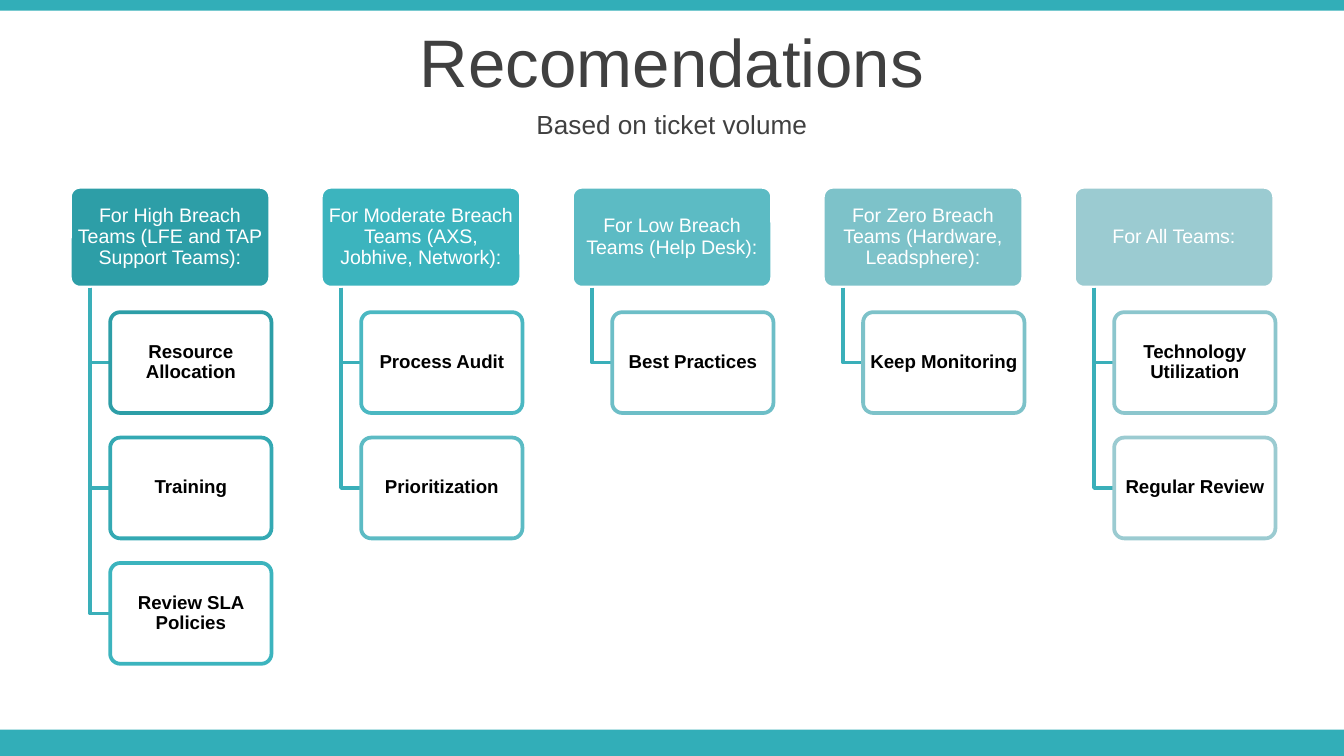
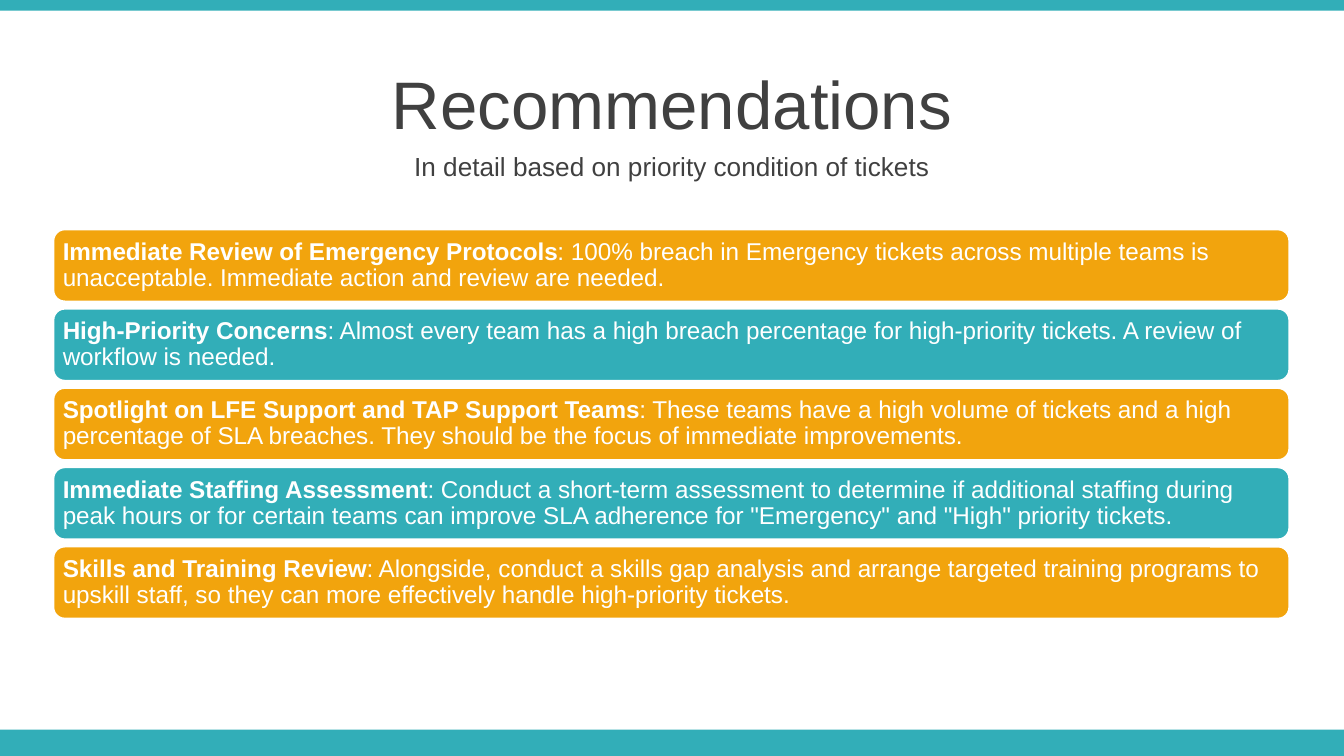
from dataclasses import dataclass

from lxml import etree
from pptx import Presentation
from pptx import util as u
from pptx.dml.color import RGBColor
from pptx.enum import shapes, text
from pptx.oxml import ns


@dataclass(frozen=True)
class Theme:
    font: str = "Arial"
    teal: str = "32AEB8"
    orange: str = "F2A40D"
    link: str = "3AAFB9"
    ink: str = "404040"
    black: str = "000000"
    white: str = "FFFFFF"
    title_size: float = 36
    subtitle_size: float = 14
    group_size: float = 10.5
    action_size: float = 10
    detail_size: float = 13
    line_width: float = 2


@dataclass(frozen=True)
class Box:
    left: float
    top: float
    width: float
    height: float

    def inches(self):
        return [u.Inches(v) for v in (self.left, self.top, self.width, self.height)]


THEME = Theme()
PAGE = Box(0, 0, 10, 5.625)

# Each group: heading, colour, then its actions with their border colours
GROUPS = [
    ("For High Breach Teams (LFE and TAP Support Teams):", "2D9EA7",
     [("Resource Allocation", "2D9EA7"), ("Training", "34A9B3"),
      ("Review SLA Policies", "3CB4BE")]),
    ("For Moderate Breach Teams (AXS, Jobhive, Network):", "3CB4BE",
     [("Process Audit", "4BB8C2"), ("Prioritization", "5CBBC4")]),
    ("For Low Breach Teams (Help Desk):", "5CBBC4",
     [("Best Practices", "6DBEC7")]),
    ("For Zero Breach Teams (Hardware, Leadsphere):", "7DC2C9",
     [("Keep Monitoring", "7DC2C9")]),
    ("For All Teams:", "9BCBD1",
     [("Technology Utilization", "8CC6CD"), ("Regular Review", "9BCBD1")]),
]

DETAILS = [
    ("Immediate Review of Emergency Protocols",
     ": 100% breach in Emergency tickets across multiple teams is unacceptable. "
     "Immediate action and review are needed."),
    ("High-Priority Concerns",
     ": Almost every team has a high breach percentage for high-priority tickets. "
     "A review of workflow is needed."),
    ("Spotlight on LFE Support and TAP Support Teams",
     ": These teams have a high volume of tickets and a high percentage of SLA breaches. "
     "They should be the focus of immediate improvements."),
    ("Immediate Staffing Assessment",
     ": Conduct a short-term assessment to determine if additional staffing during peak hours "
     'or for certain teams can improve SLA adherence for "Emergency" and "High" priority tickets.'),
    ("Skills and Training Review",
     ": Alongside, conduct a skills gap analysis and arrange targeted training programs to "
     "upskill staff, so they can more effectively handle high-priority tickets."),
]


# Shared helpers
def write(holder, runs, size, color, align, inset=(0.1, 0.05), spacing=None):
    """Fill a shape with one paragraph of (wording, bold) runs."""
    frame = holder.text_frame
    frame.word_wrap = True
    frame.auto_size = text.MSO_AUTO_SIZE.NONE
    frame.vertical_anchor = text.MSO_ANCHOR.MIDDLE
    frame.margin_left = frame.margin_right = u.Inches(inset[0])
    frame.margin_top = frame.margin_bottom = u.Inches(inset[1])
    paragraph = frame.paragraphs[0]
    paragraph.alignment = align
    if spacing:
        paragraph.line_spacing = spacing
    for wording, bold in runs:
        run = paragraph.add_run()
        run.text = wording
        run.font.name = THEME.font
        run.font.size = u.Pt(size)
        run.font.bold = bold
        run.font.color.rgb = RGBColor.from_string(color)


def outline(shape, color):
    shape.shadow.inherit = False
    shape.line.color.rgb = RGBColor.from_string(color)
    shape.line.width = u.Pt(THEME.line_width)


def add_card(slide, box, fill, border, corner=None, opacity=None):
    card = slide.shapes.add_shape(shapes.MSO_SHAPE.ROUNDED_RECTANGLE, *box.inches())
    if corner is not None:
        card.adjustments[0] = corner
    card.fill.solid()
    card.fill.fore_color.rgb = RGBColor.from_string(fill)
    outline(card, border)
    if opacity is not None:
        tint = card.element.spPr.find(ns.qn("a:solidFill"))[0]
        etree.SubElement(tint, ns.qn("a:alpha"), val=str(opacity * 1000))
    return card


def add_master_bands(prs, slide):
    """Draw the top and bottom bands and move them to the slide master."""
    bands = [Box(0, 5.43, PAGE.width, 0.2), Box(0, 0, PAGE.width, 0.08)]
    for order, box in enumerate(bands):
        band = slide.shapes.add_shape(shapes.MSO_SHAPE.RECTANGLE, *box.inches())
        band.shadow.inherit = False
        band.fill.solid()
        band.fill.fore_color.rgb = RGBColor.from_string(THEME.teal)
        band.line.fill.background()
        band.element.nvSpPr.cNvPr.set("id", str(101 + order))
        prs.slide_master.shapes.element.insert(2 + order, band.element)


def add_heading(slide, box, title, subtitle):
    """Title takes the upper two thirds of the box, subtitle the rest."""
    split = box.height * 2 / 3
    parts = [
        (slide.shapes.title, title, THEME.title_size,
         Box(box.left, box.top, box.width, split)),
        (slide.placeholders[1], subtitle, THEME.subtitle_size,
         Box(box.left, box.top + split, box.width, box.height - split)),
    ]
    for holder, wording, size, place in parts:
        holder.left, holder.top, holder.width, holder.height = place.inches()
        write(holder, [(wording, False)], size, THEME.ink, text.PP_ALIGN.CENTER)


# Hierarchy of team groups
def add_link(slide, x, top, bottom, end):
    start, *corners = [(u.Inches(a), u.Inches(b))
                       for a, b in ((x, top), (x, bottom), (end, bottom))]
    builder = slide.shapes.build_freeform(*start)
    builder.add_line_segments(corners, close=False)
    link = builder.convert_to_shape()
    link.fill.background()
    outline(link, THEME.link)


def add_group(slide, box, heading, color, actions):
    card_height, row_pitch, indent, action_width = 0.75, 0.933, 0.3, 1.2
    center = text.PP_ALIGN.CENTER
    head = add_card(slide, Box(box.left, box.top, box.width, card_height),
                    color, THEME.white, corner=0.1)
    write(head, [(heading, False)], THEME.group_size, THEME.white, center, (0.02, 0.02), 0.9)
    for row, (action, border) in enumerate(actions, start=1):
        place = Box(box.left + indent, box.top + row * row_pitch, action_width, card_height)
        add_link(slide, box.left + indent / 2, box.top + card_height,
                 place.top + card_height / 2, place.left)
        card = add_card(slide, place, THEME.white, border, corner=0.1, opacity=90)
        write(card, [(action, True)], THEME.action_size, THEME.black, center, (0.02, 0.01), 0.9)


def add_hierarchy(slide, box, groups):
    group_width = 1.49
    pitch = (box.width - group_width) / (len(groups) - 1)
    for column, group in enumerate(groups):
        place = Box(box.left + column * pitch, box.top, group_width, box.height)
        add_group(slide, place, *group)


# Stack of detailed recommendations
def add_detail_bars(slide, box, details):
    bar_height = 0.55
    pitch = (box.height - bar_height) / (len(details) - 1)
    for row, (topic, advice) in enumerate(details):
        fill = THEME.teal if row % 2 else THEME.orange
        bar = add_card(slide, Box(box.left, box.top + row * pitch, box.width, bar_height),
                       fill, THEME.white)
        write(bar, [(topic, True), (advice, False)], THEME.detail_size, THEME.white,
              text.PP_ALIGN.LEFT, (0.05, 0.05), 0.9)


def main():
    prs = Presentation()
    prs.slide_width, prs.slide_height = u.Inches(PAGE.width), u.Inches(PAGE.height)
    title_layout = prs.slide_layouts[0]

    # Recommendations by team
    by_team = prs.slides.add_slide(title_layout)
    add_master_bands(prs, by_team)
    add_heading(by_team, Box(0, 0.14, PAGE.width, 0.94),
                "Recomendations", "Based on ticket volume")
    add_hierarchy(by_team, Box(0.52, 1.39, 8.96, 3.55), GROUPS)

    # Recommendations by priority
    by_priority = prs.slides.add_slide(title_layout)
    add_heading(by_priority, Box(0, 0.45, PAGE.width, 0.94),
                "Recommendations", "In detail based on priority condition of tickets")
    add_detail_bars(by_priority, Box(0.39, 1.7, 9.21, 2.91), DETAILS)

    prs.save("out.pptx")


if __name__ == "__main__":
    main()
